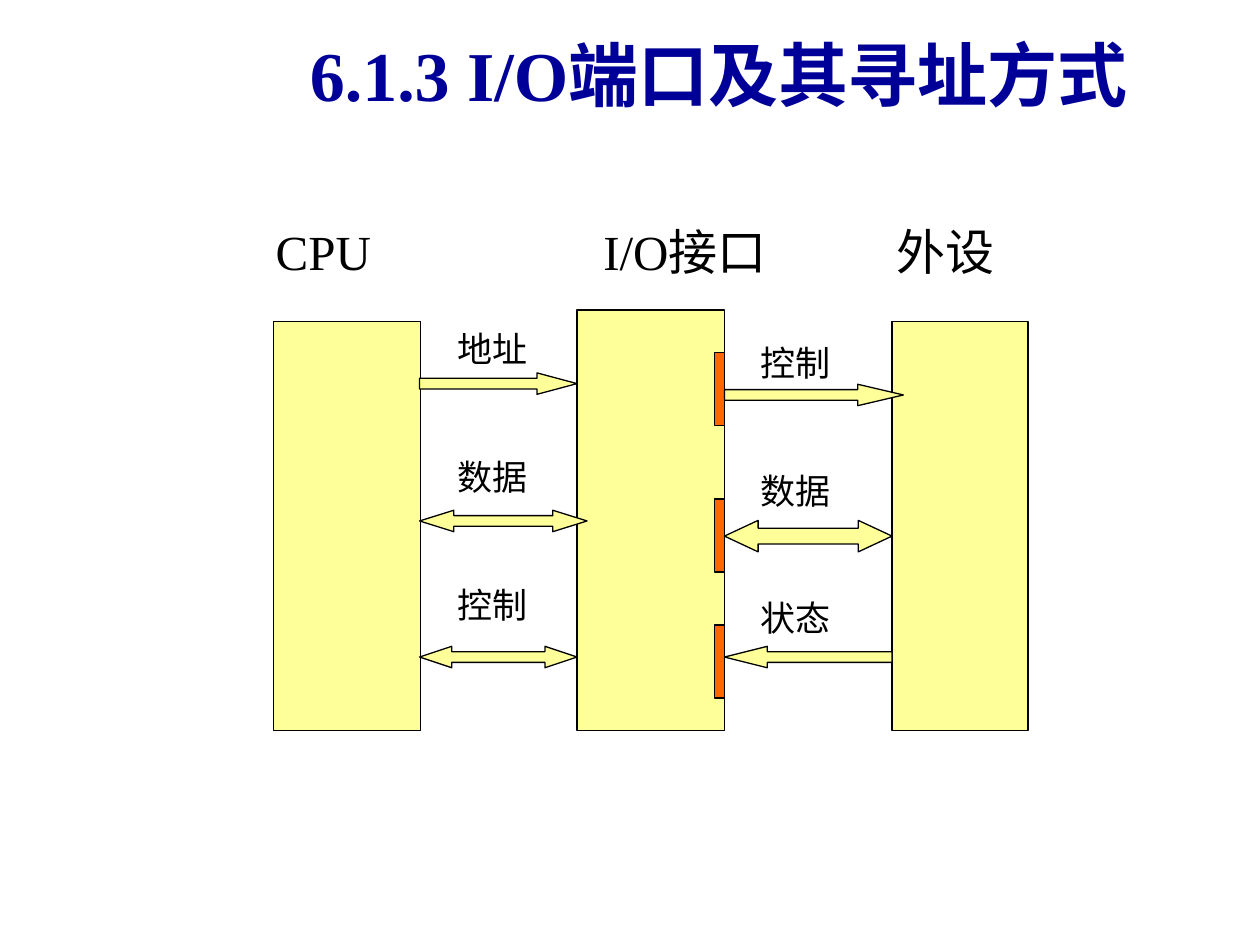
import pptx
import pptx.util
import pptx.dml.color
import pptx.enum.shapes
import pptx.enum.text
import pptx.oxml.ns
from lxml import etree

Inches = pptx.util.Inches
Pt = pptx.util.Pt
SHAPE = pptx.enum.shapes.MSO_SHAPE
FONT = "Times New Roman"
COLORS = {"title": "000099", "text": "000000", "block": "FFFF99", "port": "FF6600"}


def rgb(name):
    return pptx.dml.color.RGBColor.from_string(COLORS[name])


def add_shape(s, kind, box, fill, head=None):
    """Outlined shape; head is the arrowhead length relative to its height."""
    sp = s.shapes.add_shape(kind, *map(Inches, box))
    sp.shadow.inherit = False
    sp.fill.solid()
    sp.fill.fore_color.rgb = rgb(fill)
    sp.line.color.rgb = rgb("text")
    sp.line.width = Pt(0.75)
    if head is not None:
        sp.adjustments[0] = 0.5
        sp.adjustments[1] = head


def add_text(s, box, lines, size, color="text", bold=False, gap=0):
    tf = s.shapes.add_textbox(*map(Inches, box)).text_frame
    tf.word_wrap = True
    tf.text = "\n".join(lines)
    for i, p in enumerate(tf.paragraphs):
        if i:
            p.space_before = Pt(gap)
        for r in p.runs:
            r.font.name = FONT
            r.font.size = Pt(size)
            r.font.bold = bold
            r.font.color.rgb = rgb(color)
    return tf


def add_title(s, box):
    tf = add_text(s, box, ["6.1.3 I/O端口及其寻址方式"], 40, "title", True)
    tf.vertical_anchor = pptx.enum.text.MSO_ANCHOR.MIDDLE
    tf.paragraphs[0].alignment = pptx.enum.text.PP_ALIGN.CENTER


def add_headings(s, box):
    """Block names in one line, set apart by tab stops."""
    tf = add_text(s, box, ["CPU\tI/O接口\t外设"], 28)
    qn = pptx.oxml.ns.qn
    tabs = etree.SubElement(tf.paragraphs[0]._p.get_or_add_pPr(), qn("a:tabLst"))
    for stop in (2.6, 4.93):
        etree.SubElement(tabs, qn("a:tab"), pos=str(Inches(stop)), algn="l")


def add_blocks(s, x, y, h):
    # CPU, interface and peripheral; the interface rises a little higher
    for dx, rise, w in ((0, 0, 1.17), (2.41, 0.09, 1.17), (4.91, 0, 1.08)):
        add_shape(s, SHAPE.RECTANGLE, (x + dx, y - rise, w, h + rise), "block")
    # Ports on the right edge of the interface
    for dy in (0.25, 1.41, 2.41):
        add_shape(s, SHAPE.RECTANGLE, (x + 3.5, y + dy, 0.08, 0.58), "port")


def add_signals(s, x, y, labels, label_box, arrows):
    """Arrows between two blocks, with their labels above."""
    for kind, dy, w, h, head in arrows:
        add_shape(s, kind, (x, y + dy, w, h), "block", head)
    dx, dy, w, h = label_box
    add_text(s, (x + dx, y + dy, w, h), labels, 20, gap=49)


def main():
    prs = pptx.Presentation()
    prs.slide_width, prs.slide_height = Inches(10), Inches(7.5)
    s = prs.slides.add_slide(prs.slide_layouts[6])
    top = 2.55

    add_blocks(s, 2.17, top, 3.25)
    # CPU to interface
    add_signals(s, 3.33, top, ["地址", "数据", "控制"], (0.2, 0, 1.08, 2.46), [
        (SHAPE.RIGHT_ARROW, 0.41, 1.25, 0.17, 1.87),
        (SHAPE.LEFT_RIGHT_ARROW, 1.5, 1.33, 0.17, 1.6),
        (SHAPE.LEFT_RIGHT_ARROW, 2.58, 1.25, 0.17, 1.5),
    ])
    # Interface to peripheral
    add_signals(s, 5.75, top, ["控制", "数据", "状态"], (0.19, 0.11, 1, 2.46), [
        (SHAPE.RIGHT_ARROW, 0.5, 1.42, 0.17, 2.13),
        (SHAPE.LEFT_RIGHT_ARROW, 1.58, 1.33, 0.25, 1.07),
        (SHAPE.LEFT_ARROW, 2.58, 1.33, 0.17, 2),
    ])
    add_headings(s, (2.09, 1.71, 6.5, 0.57))
    add_title(s, (1.69, 0.25, 8.03, 0.66))
    prs.save("out.pptx")


if __name__ == "__main__":
    main()
